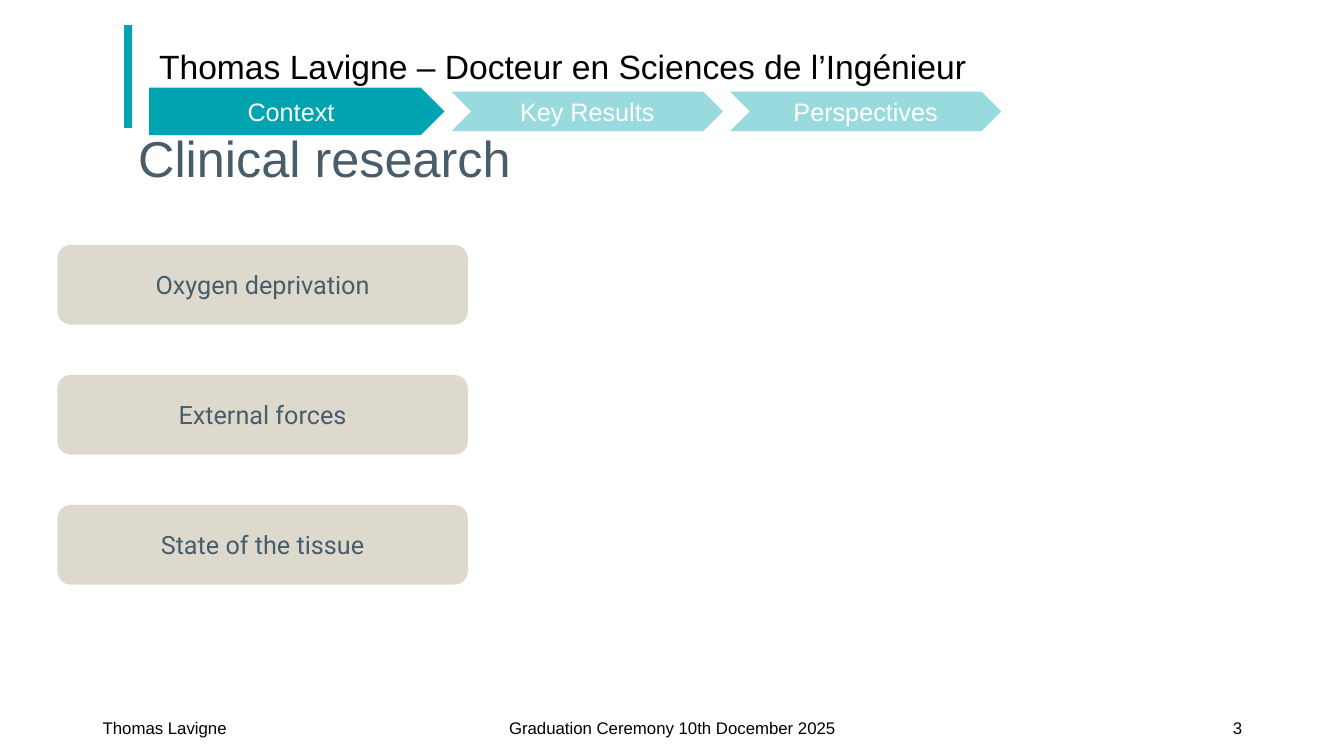
from pptx import Presentation
from pptx.dml.color import RGBColor
from pptx.enum.shapes import MSO_SHAPE
from pptx.enum.text import MSO_ANCHOR, MSO_AUTO_SIZE, PP_ALIGN
from pptx.util import Inches, Pt
from lxml.etree import SubElement

TEAL, SLATE, SAND = "00A3B0", "485C6A", "DDDACD"
WHITE, BLACK = "FFFFFF", "000000"


def paint(target, color):
    target.rgb = RGBColor.from_string(color)


def write(shape, text, size, color, align=PP_ALIGN.LEFT,
          anchor=MSO_ANCHOR.MIDDLE, font="Arial"):
    frame = shape.text_frame
    look = {"word_wrap": True, "auto_size": MSO_AUTO_SIZE.NONE,
            "vertical_anchor": anchor}
    for name, value in look.items():
        setattr(frame, name, value)
    line = frame.paragraphs[0]
    line.alignment = align
    run = line.add_run()
    run.text = text
    for name, value in {"name": font, "size": Pt(size), "bold": False}.items():
        setattr(run.font, name, value)
    paint(run.font.color, color)
    return line


def block(slide, kind, box, color, alpha=100):
    shape = slide.shapes.add_shape(kind, *map(Inches, box))
    shape.shadow.inherit = False
    shape.fill.solid()
    paint(shape.fill.fore_color, color)
    shape.line.fill.background()
    if alpha < 100:
        tint = shape.fill._xPr.solidFill[0]
        tag = tint.tag.replace("srgbClr", "alpha")
        SubElement(tint, tag).set("val", str(alpha * 1000))
    return shape


def label(slide, box, *args, **look):
    write(slide.shapes.add_textbox(*map(Inches, box)), *args, **look)


def steps(slide, box, names):
    left, top, width, height = box
    wide, gap, grow = 2.69, 0.07, 0.04
    first = width - (len(names) - 1) * (wide + gap)
    for i, name in enumerate(names):
        if i == 0:
            place = left, top - grow, first, height + 2 * grow
            shape = block(slide, MSO_SHAPE.PENTAGON, place, TEAL)
        else:
            x = left + first + gap + (i - 1) * (wide + gap)
            place = x, top, wide, height
            shape = block(slide, MSO_SHAPE.CHEVRON, place, TEAL, 40)
        write(shape, name, 18, WHITE, PP_ALIGN.CENTER)


def header(slide, box):
    left, top, width, height = box
    block(slide, MSO_SHAPE.RECTANGLE, (left, top, 0.08, height), TEAL)
    label(slide, (left + 0.25, top + 0.16, width - 0.25, 0.5),
          "Thomas Lavigne – Docteur en Sciences de l’Ingénieur", 24, BLACK,
          anchor=MSO_ANCHOR.TOP)
    steps(slide, (left + 0.25, top + 0.66, 8.45, 0.39),
          ["Context", "Key Results", "Perspectives"])


def heading(slide, box, text):
    title = slide.shapes.title
    for name, value in zip(("left", "top", "width", "height"), box):
        setattr(title, name, Inches(value))
    line = write(title, text, 36, SLATE, anchor=MSO_ANCHOR.TOP)
    line.line_spacing = 0.9


def causes(slide, box, names):
    left, top, width, height = box
    tall = 0.79
    step = (height - tall) / (len(names) - 1)
    for i, name in enumerate(names):
        place = left, top + i * step, width, tall
        shape = block(slide, MSO_SHAPE.ROUNDED_RECTANGLE, place, SAND)
        write(shape, name, 18, SLATE, PP_ALIGN.CENTER, font="Roboto")


def footer(slide, box):
    left, top, width, height = box
    parts = [("Thomas Lavigne", 0, 3, PP_ALIGN.LEFT),
             ("Graduation Ceremony 10th Docember 2025", (width - 4.5) / 2, 4.5,
              PP_ALIGN.CENTER),
             ("3", width - 3, 3, PP_ALIGN.RIGHT)]
    for text, shift, wide, align in parts:
        label(slide, (left + shift, top, wide, height), text, 12, BLACK, align)


def main():
    deck = Presentation()
    deck.slide_width, deck.slide_height = Inches(13.33), Inches(7.5)
    slide = deck.slides.add_slide(deck.slide_layouts[5])
    header(slide, (1.23, 0.25, 9.51, 1.02))
    heading(slide, (1.27, 1.28, 11.15, 0.99), "Clinical research")
    causes(slide, (0.57, 2.43, 4.07, 3.37),
           ["Oxygen deprivation", "External forces", "State of the tissue"])
    footer(slide, (0.92, 7.02, 11.5, 0.4))
    deck.save("out.pptx")


if __name__ == "__main__":
    main()
